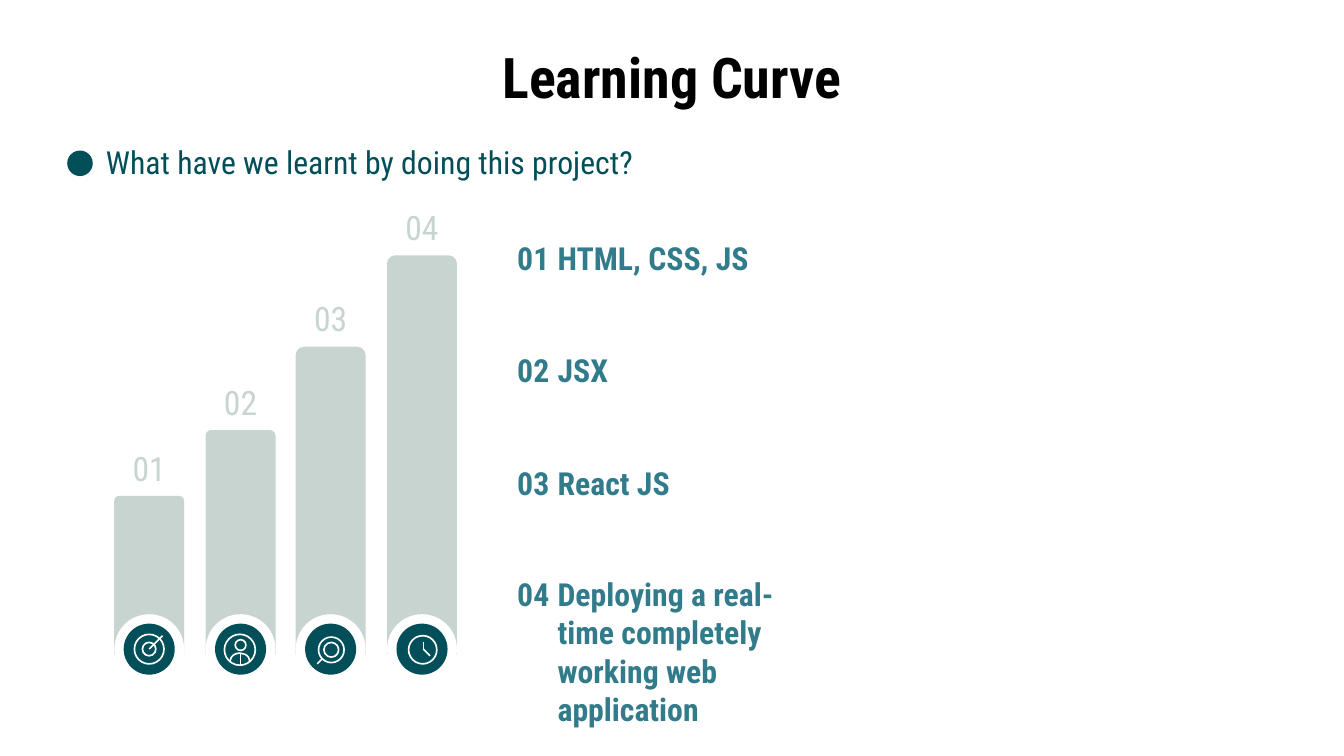
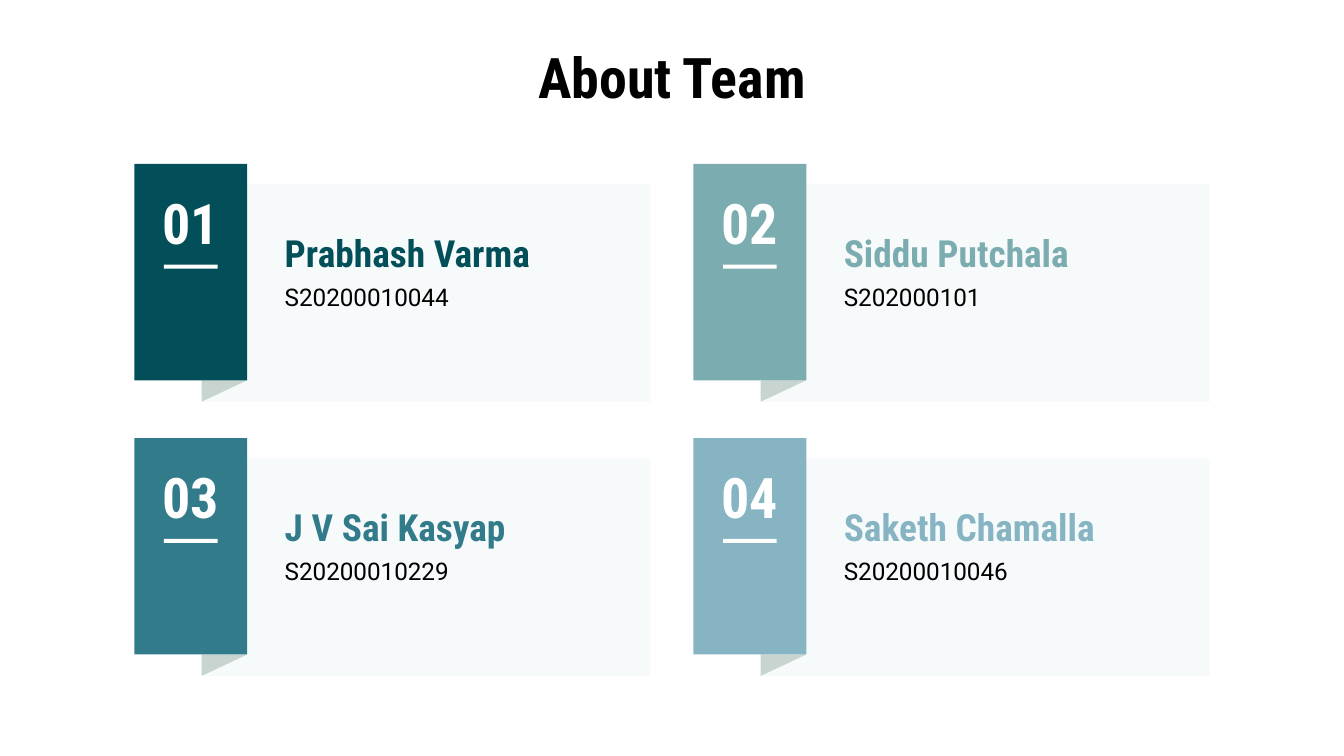
from pptx import Presentation
from pptx.dml.color import RGBColor
from pptx.enum.shapes import MSO_CONNECTOR, MSO_SHAPE
from pptx.enum.text import MSO_ANCHOR, MSO_AUTO_SIZE, PP_ALIGN
from pptx.oxml.ns import qn
from pptx.util import Pt
from lxml.etree import SubElement

PX = 9144
COLORS = {
    "black": "000000", "white": "FFFFFF", "dark": "024F59", "teal": "327B8A",
    "sage": "7BACB0", "sky": "86B4C2", "grey": "C7D4CF", "panel": "F7FAFB",
}
RGB = {name: RGBColor.from_string(value) for name, value in COLORS.items()}
HEAD, BODY = "Roboto Condensed", "Roboto"
LINE = Pt(0.88)


def write(sp, box, text, size, color, bold=False, center=False, font=HEAD):
    sp.left, sp.top, sp.width, sp.height = [v * PX for v in box]
    tf = sp.text_frame
    tf.text = text
    tf.word_wrap = True
    tf.auto_size = MSO_AUTO_SIZE.NONE
    tf.vertical_anchor = MSO_ANCHOR.TOP
    tf.margin_left = tf.margin_right = tf.margin_top = tf.margin_bottom = 10 * PX
    p = tf.paragraphs[0]
    p.alignment = PP_ALIGN.CENTER if center else PP_ALIGN.LEFT
    r = p.runs[0]
    r.font.name, r.font.size, r.font.bold = font, Pt(size), bold
    r.font.color.rgb = RGB[color]


def draw(shapes, kind, box, fill=None):
    sp = shapes.add_shape(kind, *[v * PX for v in box])
    sp.shadow.inherit = False
    if fill:
        sp.fill.solid()
        sp.fill.fore_color.rgb = RGB[fill]
        sp.line.fill.background()
    else:
        sp.fill.background()
        sp.line.color.rgb = RGB["white"]
        sp.line.width = LINE
    return sp


prs = Presentation()
prs.slide_width, prs.slide_height = 1000 * PX, 1125 * PX // 2

slides = []
for title in ("Learning Curve", "About Team"):
    s = prs.slides.add_slide(prs.slide_layouts[5])
    write(s.shapes.title, (253, 22, 494, 68), title, 30, "black", bold=True, center=True)
    slides.append(s)
curve, team = slides

write(curve.shapes.add_textbox(0, 0, 0, 0), (69, 96, 654, 46),
      "What have we learnt by doing this project?", 17, "dark")
draw(curve.shapes, MSO_SHAPE.OVAL, (50, 112, 19, 19), "dark")

steps = [
    (369, 0.07, "HTML, CSS, JS", [(15, 472, 22), (21, 478, 10)], [(26, 483, 36, 473)]),
    (320, 0.08, "JSX", [(22, 476, 8), (14, 472, 23)], [(26, 495, 26, 486)]),
    (258, 0.12, "React JS", [(17, 474, 19), (21, 478, 11)], [(16, 494, 20, 490)]),
    (190, 0.12, "Deploying a real-time completely working web application",
     [(16, 473, 21)], [(27, 483, 32, 488), (27, 478, 27, 483)]),
]
for i, (top, corner, lesson, rings, strokes) in enumerate(steps):
    x = 85 + round(i * 203 / 3)
    number = f"{i + 1:02}"
    bar = draw(curve.shapes, MSO_SHAPE.ROUND_2_SAME_RECTANGLE, (x, top, 52, 487 - top), "grey")
    bar.adjustments[0] = corner
    draw(curve.shapes, MSO_SHAPE.OVAL, (x, 457, 52, 52), "white")
    draw(curve.shapes, MSO_SHAPE.OVAL, (x + 7, 464, 38, 38), "dark")
    for dx, y, size in rings:
        draw(curve.shapes, MSO_SHAPE.OVAL, (x + dx, y, size, size))
    for x1, y1, x2, y2 in strokes:
        c = curve.shapes.add_connector(MSO_CONNECTOR.STRAIGHT, (x + x1) * PX, y1 * PX,
                                       (x + x2) * PX, y2 * PX)
        c.line.color.rgb = RGB["white"]
        c.line.width = LINE
        SubElement(c._element.spPr, qn("a:effectLst"))
    write(curve.shapes.add_textbox(0, 0, 0, 0), (x, top - 46, 52, 38), number, 18, "grey",
          center=True)

    y = 168 + round(i * 250 / 3)
    row = curve.shapes.add_group_shape().shapes
    write(row.add_textbox(0, 0, 0, 0), (375, y, 45, 46), number, 17, "teal", bold=True)
    write(row.add_textbox(0, 0, 0, 0), (405, y, 219, 46), lesson, 17, "teal", bold=True)

shoulders = draw(curve.shapes, MSO_SHAPE.ARC, (171, 486, 15, 13))
shoulders.adjustments[0] = 108
shoulders.adjustments[1] = 0

members = [
    ("Prabhash Varma", "S20200010044", "dark"),
    ("Siddu Putchala", "S202000101", "sage"),
    ("J V Sai Kasyap", "S20200010229", "teal"),
    ("Saketh Chamalla", "S20200010046", "sky"),
]
for i, (name, roll, color) in enumerate(members):
    x, y = 100 + i % 2 * 416, 122 + i // 2 * 204
    card = team.shapes.add_group_shape().shapes
    panel = [(84, 15), (84, 161), (50, 177), (384, 177), (384, 15)]
    fold = [(50, 161), (50, 177), (84, 161)]
    for outline, fill in ((panel, "panel"), (fold, "grey")):
        points = [(x + dx, y + dy) for dx, dy in outline]
        fb = card.build_freeform(*points[0], scale=PX)
        fb.add_line_segments(points[1:])
        sp = fb.convert_to_shape()
        sp.shadow.inherit = False
        sp.fill.solid()
        sp.fill.fore_color.rgb = RGB[fill]
        sp.line.fill.background()
    draw(card, MSO_SHAPE.RECTANGLE, (x, y, 84, 161), color)
    draw(card, MSO_SHAPE.RECTANGLE, (x + 22, y + 75, 40, 3), "white")
    write(card.add_textbox(0, 0, 0, 0), (x, y + 8, 84, 83), f"{i + 1:02}", 30, "white",
          bold=True, center=True)
    write(card.add_textbox(0, 0, 0, 0), (x + 102, y + 39, 265, 46), name, 20, color, bold=True)
    write(card.add_textbox(0, 0, 0, 0), (x + 102, y + 78, 265, 64), roll, 13, "black", font=BODY)

prs.save("out.pptx")
